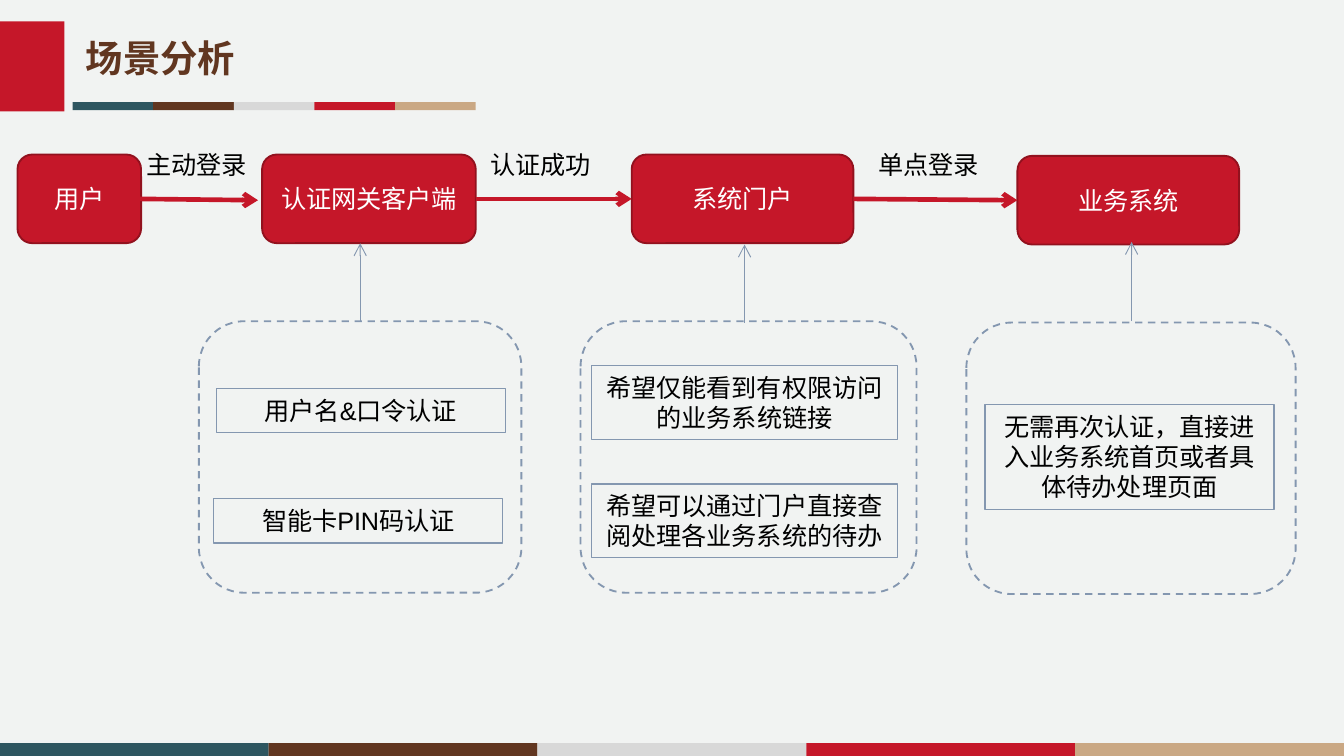
"""Build the login scenario analysis slide."""
from dataclasses import dataclass

from lxml import etree
from pptx import Presentation
from pptx import util as u
from pptx.dml.color import RGBColor
from pptx.enum import dml, lang, shapes, text as t
from pptx.oxml.ns import qn


@dataclass(frozen=True)
class Theme:
    background: str = "F1F3F2"
    teal: str = "2E5660"
    brown: str = "613620"
    grey: str = "D8D8D8"
    red: str = "C51729"
    tan: str = "CAA884"
    edge: str = "92111E"
    slate: str = "8497B0"
    white: str = "FFFFFF"
    black: str = "000000"
    title_font: str = "Calibri"
    body_font: str = "Arial"
    title_size: float = 20
    body_size: float = 13.5


theme = Theme()
deck = Presentation()
deck.slide_width = u.Inches(10)
deck.slide_height = u.Inches(10) * 9 // 16
page = deck.slides.add_slide(deck.slide_layouts[6])
page.background.fill.solid()
page.background.fill.fore_color.rgb = RGBColor.from_string(theme.background)


def draw(preset, place, fill=None, line=None, weight=1, dash=None):
    box = page.shapes.add_shape(preset, *map(u.Inches, place))
    box.shadow.inherit = False
    if fill:
        box.fill.solid()
        box.fill.fore_color.rgb = RGBColor.from_string(fill)
    else:
        box.fill.background()
    if line:
        box.line.color.rgb = RGBColor.from_string(line)
        box.line.width = u.Pt(weight)
        box.line.dash_style = dash
    else:
        box.line.fill.background()
    return box


def write(box, text, color=theme.black, size=theme.body_size, font=theme.body_font,
          bold=False, align=t.PP_ALIGN.CENTER, anchor=t.MSO_ANCHOR.TOP,
          wrap=True, grow=True, spacing=None):
    frame = box.text_frame
    frame.word_wrap = wrap
    frame.vertical_anchor = anchor
    frame.auto_size = t.MSO_AUTO_SIZE.SHAPE_TO_FIT_TEXT if grow else t.MSO_AUTO_SIZE.NONE
    para = frame.paragraphs[0]
    para.alignment = align
    para.line_spacing = spacing
    span = para.add_run()
    span.text = text
    span.font.name = font
    span.font.size = u.Pt(size)
    span.font.bold = bold
    span.font.color.rgb = RGBColor.from_string(color)
    span.font.language_id = lang.MSO_LANGUAGE_ID.SIMPLIFIED_CHINESE


RECT = shapes.MSO_SHAPE.RECTANGLE
ROUNDED = shapes.MSO_SHAPE.ROUNDED_RECTANGLE

stripe = [theme.teal, theme.brown, theme.grey, theme.red, theme.tan]
for left, top, width, height in [(0, 5.53, 2, 0.1), (0.54, 0.76, 0.6, 0.06)]:
    for index, color in enumerate(stripe):
        draw(RECT, (left + index * width, top, width, height), fill=color)

draw(RECT, (0, 0.16, 0.48, 0.67), fill=theme.red)
title = page.shapes.add_textbox(*map(u.Inches, (0.54, 0.25, 3.78, 0.4)))
write(title, "场景分析", color=theme.brown, size=theme.title_size, font=theme.title_font,
      bold=True, align=t.PP_ALIGN.LEFT, spacing=0.9)

steps = [
    ("用户", 0.13, 1.15, 0.92),
    ("认证网关客户端", 1.95, 1.15, 1.59),
    ("系统门户", 4.7, 1.15, 1.65),
    ("业务系统", 7.57, 1.16, 1.65),
]
for name, left, top, width in steps:
    step = draw(ROUNDED, (left, top, width, 0.66), fill=theme.red, line=theme.edge)
    write(step, name, color=theme.white, anchor=t.MSO_ANCHOR.MIDDLE, grow=False)

for name, left in [("主动登录", 0.99), ("认证成功", 3.55), ("单点登录", 6.44)]:
    label = page.shapes.add_textbox(*map(u.Inches, (left, 1.06, 0.95, 0.33)))
    write(label, name, align=t.PP_ALIGN.LEFT, wrap=False)

for left, top, width in [(1.48, 2.39, 2.4), (4.32, 2.39, 2.5), (7.19, 2.4, 2.45)]:
    draw(ROUNDED, (left, top, width, 2.02), line=theme.slate, dash=dml.MSO_LINE.DASH)

needs = [
    ("用户名&口令认证", (1.61, 2.89, 2.15, 0.33)),
    ("智能卡PIN码认证", (1.59, 3.71, 2.15, 0.33)),
    ("希望仅能看到有权限访问的业务系统链接", (4.4, 2.72, 2.28, 0.55)),
    ("希望可以通过门户直接查阅处理各业务系统的待办", (4.4, 3.6, 2.28, 0.55)),
    ("无需再次认证，直接进入业务系统首页或者具体待办处理页面", (7.33, 3.01, 2.15, 0.78)),
]
for need, place in needs:
    write(draw(RECT, place, line=theme.slate, weight=0.75), need)

flows = [(1.04, 1.48, 1.92, 1.49), (3.54, 1.48, 4.7, 1.48), (6.35, 1.48, 7.57, 1.49)]
links = [(2.68, 2.39, 2.68, 1.81), (5.54, 2.4, 5.54, 1.82), (8.42, 2.39, 8.42, 1.8)]
for group, color, weight in [(flows, theme.red, 2.5), (links, theme.slate, 0.5)]:
    for ends in group:
        arrow = page.shapes.add_connector(shapes.MSO_CONNECTOR.STRAIGHT, *map(u.Inches, ends))
        arrow.line.color.rgb = RGBColor.from_string(color)
        arrow.line.width = u.Pt(weight)
        etree.SubElement(arrow.line._get_or_add_ln(), qn("a:tailEnd"), type="arrow")
        etree.SubElement(arrow._element.spPr, qn("a:effectLst"))

deck.save("out.pptx")
